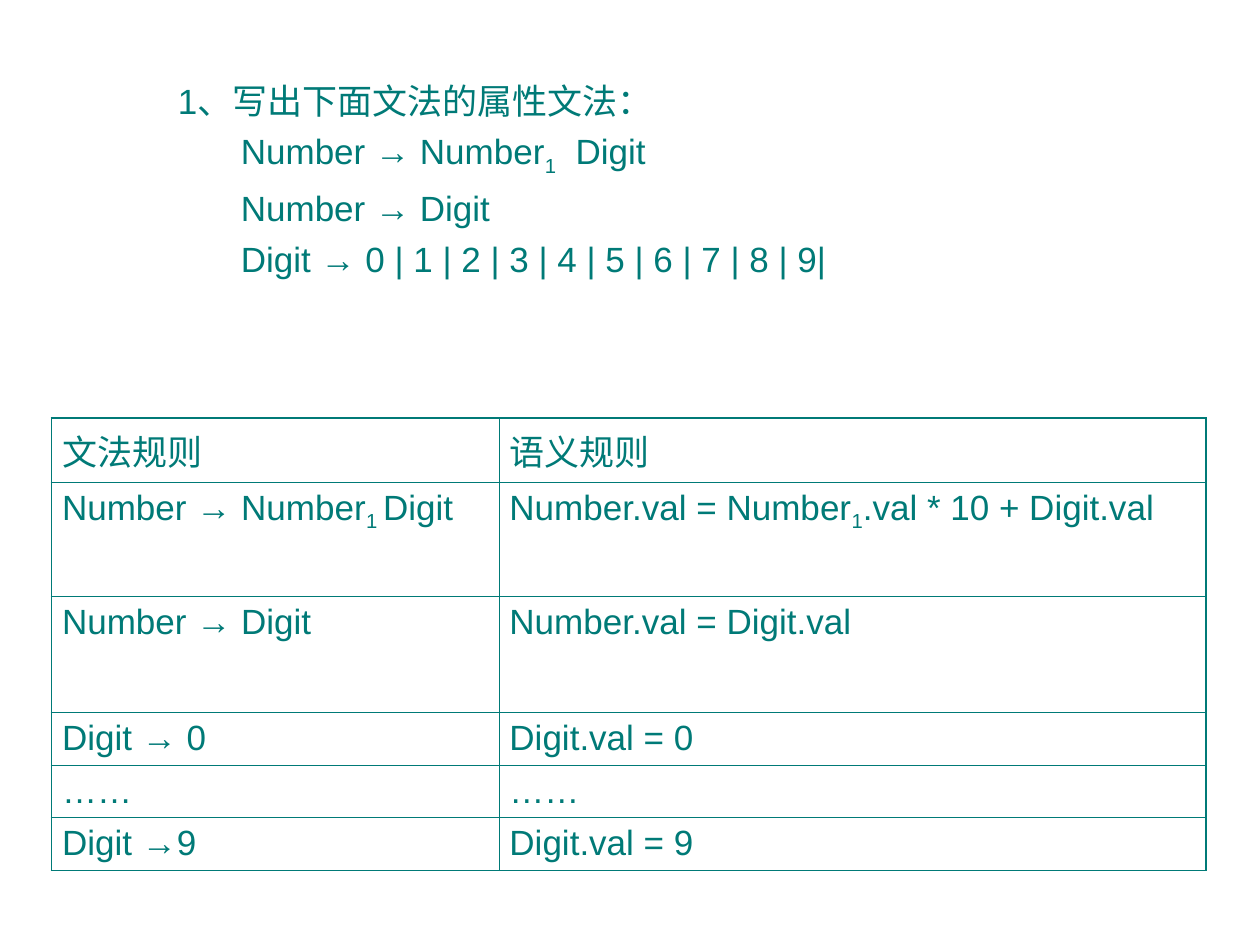
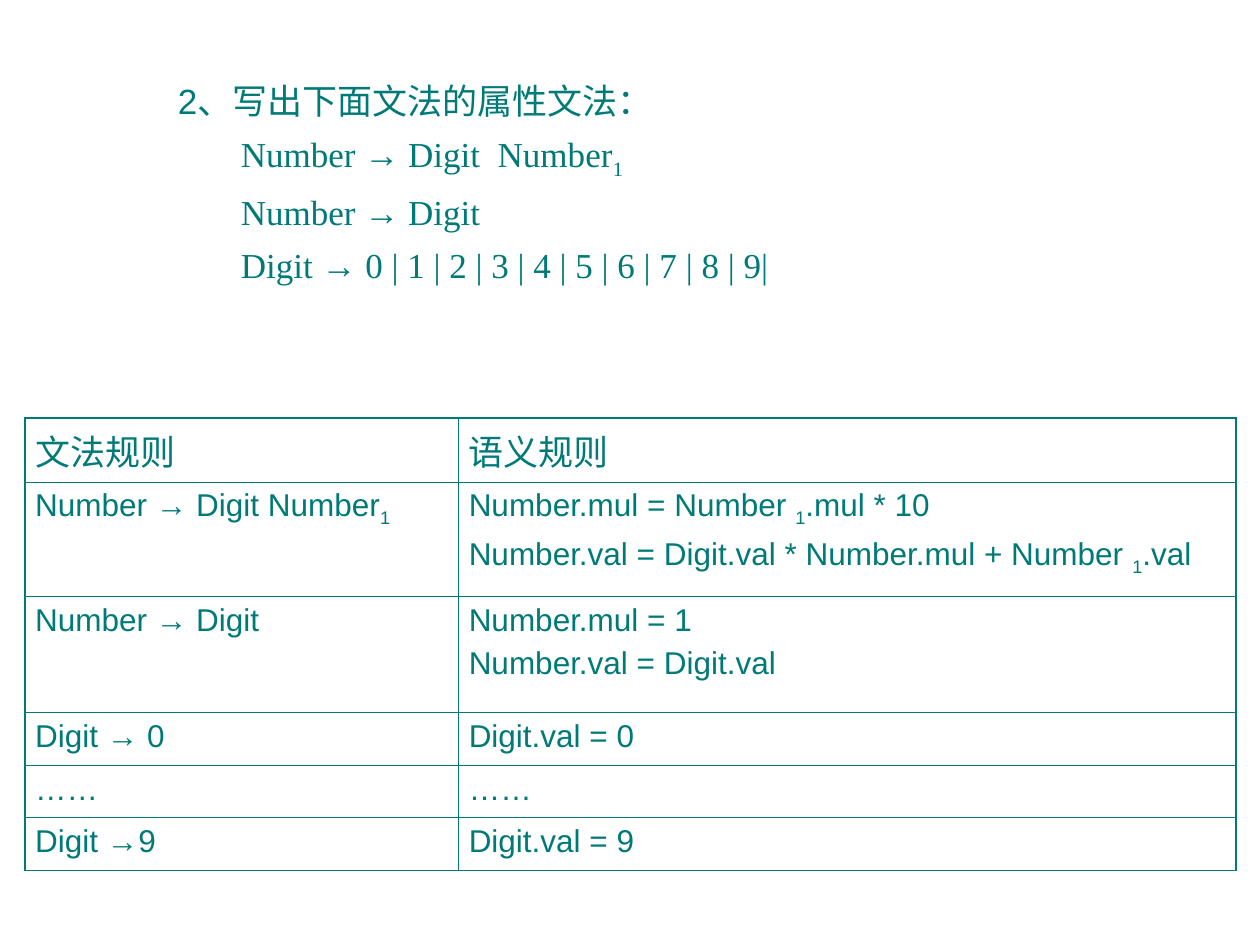
"""Build two slides that each set a grammar exercise and tabulate its attribute grammar."""
from lxml.etree import SubElement
from pptx import Presentation
from pptx.dml.color import RGBColor
from pptx.enum.text import MSO_AUTO_SIZE as AutoSize, MSO_VERTICAL_ANCHOR as Anchor
from pptx.oxml import parse_xml
from pptx.oxml.ns import nsdecls, qn
from pptx.util import Cm, Pt

TEAL = "007A77"
THIN, THICK = Pt(0.45), Pt(1.08)
ROW_HEIGHTS = [1.06, 2.31, 2.34, 1.06, 1.06, 1.06]
HEADER = ("文法规则", "语义规则")
DIGIT_ROWS = [("Digit → 0", "Digit.val = 0"), ("……", "……"), ("Digit →9", "Digit.val = 9")]
SHARED_RULES = ["Number → Digit", "Digit → 0 | 1 | 2 | 3 | 4 | 5 | 6 | 7 | 8 | 9|"]

EXERCISES = [
    {
        "question": "1、写出下面文法的属性文法：",
        "first_rule": "Number → Number_1_  Digit",
        "rule_font": "Arial",
        "line_spacing": 1.0,
        "table_left": 1.04,
        "column_widths": [9.02, 14.25],
        "cell_size": 20,
        "number_rows": [
            ("Number → Number_1 _Digit", "Number.val = Number_1_.val * 10 + Digit.val"),
            ("Number → Digit", "Number.val = Digit.val"),
        ],
    },
    {
        "question": "2、写出下面文法的属性文法：",
        "first_rule": "Number → Digit  Number_1_",
        "rule_font": "Times New Roman",
        "line_spacing": 1.05,
        "table_left": 0.5,
        "column_widths": [8.74, 15.67],
        "cell_size": 18,
        "number_rows": [
            ("Number → Digit Number_1_",
             "Number.mul = Number _1_.mul * 10\n"
             "Number.val = Digit.val * Number.mul + Number _1_.val"),
            ("Number → Digit", "Number.mul = 1\nNumber.val = Digit.val"),
        ],
    },
]


def write_line(paragraph, text, size, font_name="Arial", space_before=0):
    """Fill a paragraph, lowering the parts between underscores to subscripts."""
    paragraph.space_before = Pt(space_before)
    paragraph.font.size = Pt(size)
    paragraph.font.name = font_name
    paragraph.font.color.rgb = RGBColor.from_string(TEAL)
    for index, part in enumerate(text.split("_")):
        if part:
            run = paragraph.add_run()
            run.text = part
            if index % 2:
                run.font._element.set("baseline", "-25000")


def draw_borders(cell, widths):
    """Give a cell its left, right, top and bottom lines."""
    properties = cell._tc.get_or_add_tcPr()
    for index, (side, width) in enumerate(zip("LRTB", widths)):
        properties.insert(index, parse_xml(
            f'<a:ln{side} {nsdecls("a")} w="{width}"><a:solidFill>'
            f'<a:srgbClr val="{TEAL}"/></a:solidFill></a:ln{side}>'))


presentation = Presentation()
presentation.slide_width, presentation.slide_height = Cm(25.4), Cm(19.05)

for exercise in EXERCISES:
    slide = presentation.slides.add_slide(presentation.slide_layouts[1])
    title = slide.shapes.title.element
    title.getparent().remove(title)

    body = slide.placeholders[1]
    body.left, body.top, body.width, body.height = Cm(3.33), Cm(1.47), Cm(16.81), Cm(4.65)
    frame = body.text_frame
    frame.auto_size = AutoSize.NONE
    frame.vertical_anchor = Anchor.TOP
    lines = [exercise["question"], exercise["first_rule"], *SHARED_RULES]
    for index, line in enumerate(lines):
        paragraph = frame.add_paragraph() if index else frame.paragraphs[0]
        margin, indent = (Cm(2.06), Cm(-0.79)) if index else (Cm(0.95), Cm(-0.95))
        paragraph.level = 1 if index else 0
        paragraph.line_spacing = exercise["line_spacing"] if index else 1.0
        paragraph.space_before = Pt(0)
        properties = paragraph._p.get_or_add_pPr()
        properties.set("marL", str(margin))
        properties.set("indent", str(indent))
        SubElement(properties, qn("a:buNone"))
        write_line(paragraph, line, 20, exercise["rule_font"] if index else "Arial",
                   5 if index else 0)

    rows = [HEADER, *exercise["number_rows"], *DIGIT_ROWS]
    widths = exercise["column_widths"]
    table = slide.shapes.add_table(
        len(rows), len(widths), Cm(exercise["table_left"]), Cm(8.43),
        Cm(sum(widths)), Cm(sum(ROW_HEIGHTS))).table
    table.first_row = table.horz_banding = False
    for column, width in zip(table.columns, widths):
        column.width = Cm(width)
    for row_index, (row, height) in enumerate(zip(rows, ROW_HEIGHTS)):
        table.rows[row_index].height = Cm(height)
        for column_index, text in enumerate(row):
            cell = table.cell(row_index, column_index)
            cell.fill.background()
            cell.margin_left = cell.margin_right = Cm(0.21)
            cell.margin_top = cell.margin_bottom = Cm(0.13)
            outer_edges = (column_index == 0, column_index == len(widths) - 1,
                           row_index == 0, row_index == len(rows) - 1)
            draw_borders(cell, [THICK if outer else THIN for outer in outer_edges])
            size = exercise["cell_size"] if row_index else 20
            for index, line in enumerate(text.split("\n")):
                paragraph = (cell.text_frame.add_paragraph() if index
                             else cell.text_frame.paragraphs[0])
                write_line(paragraph, line, size, space_before=4.5 if index else 0)

presentation.save("out.pptx")
